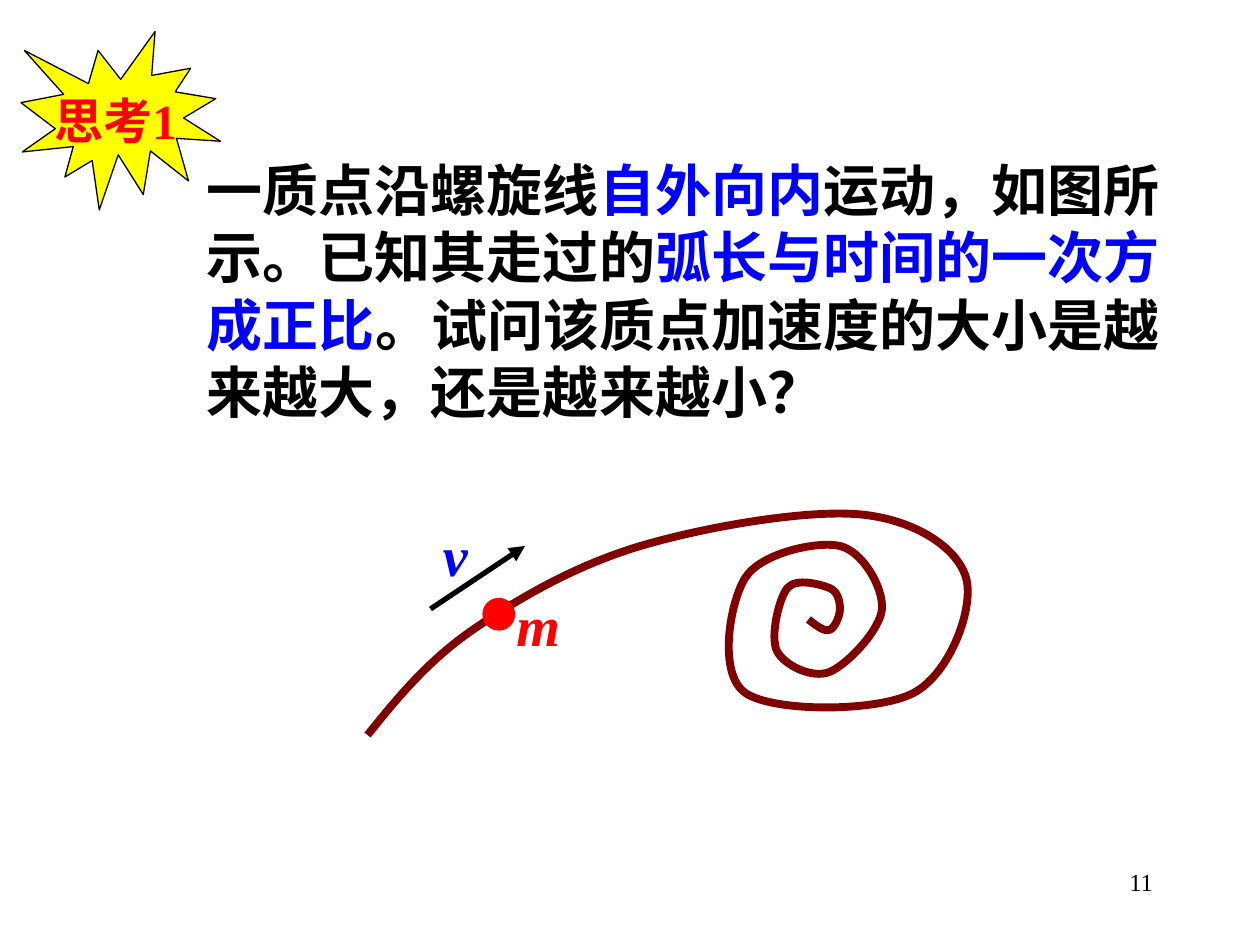
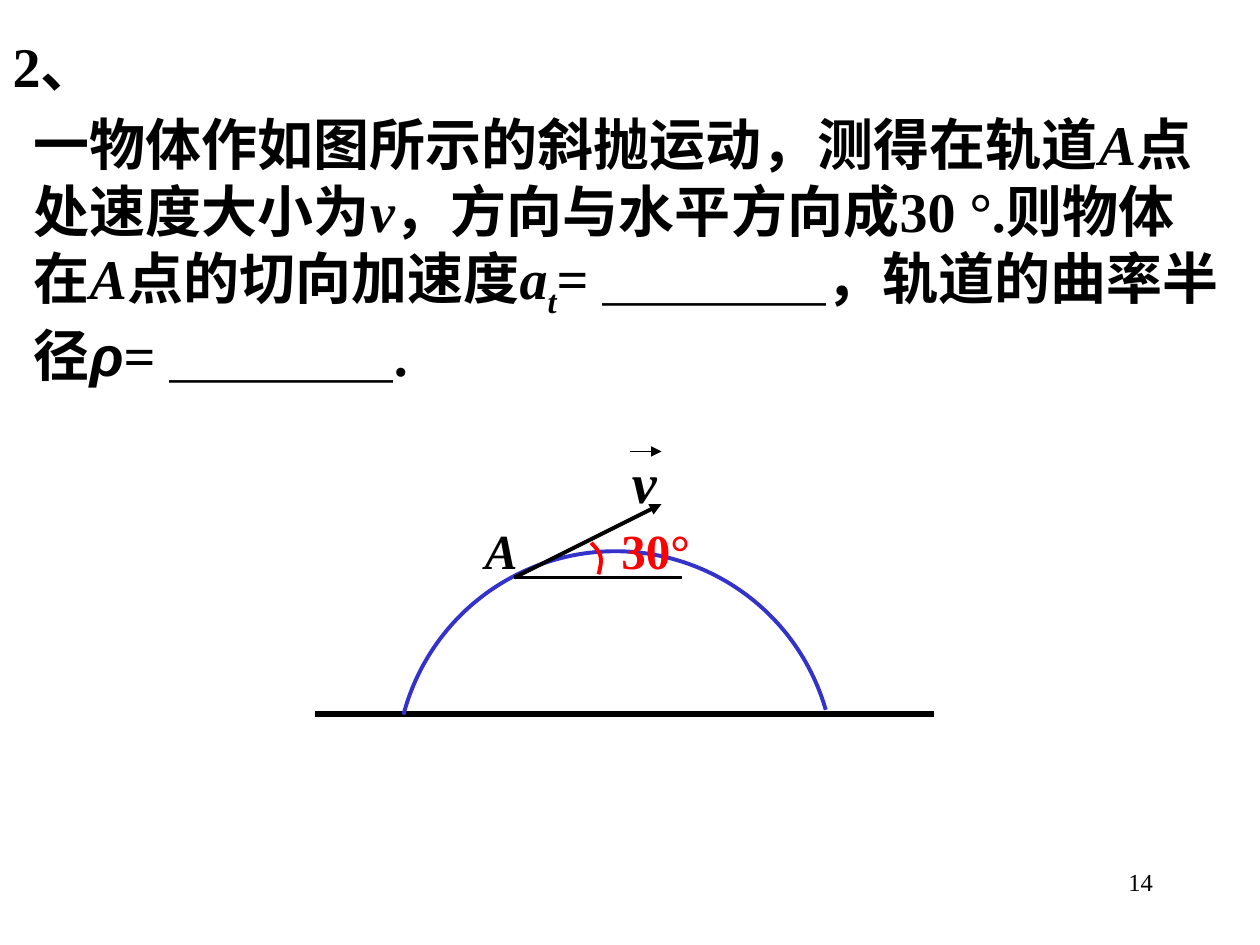
from itertools import pairwise

from lxml.etree import SubElement
from pptx import Presentation
from pptx.dml.color import RGBColor
from pptx.enum.shapes import MSO_CONNECTOR, MSO_SHAPE
from pptx.enum.text import MSO_ANCHOR, MSO_AUTO_SIZE, PP_ALIGN
from pptx.oxml.ns import qn
from pptx.util import Inches, Pt

# Shared look
FONT = "Times New Roman"
BLACK, RED, BLUE = "000000", "FF0000", "0000FF"
YELLOW, MAROON, INDIGO = "FFFF00", "800000", "3333CC"
LARGE, MEDIUM, SMALL = 32, 28, 14
ITALIC = {"italic": True}
SUBSCRIPT = {"italic": True, "baseline": "-25000"}

# The slide is a grid of 120 columns by 90 rows
COLUMNS, ROWS = 120, 90
WIDTH, HEIGHT = Inches(10), Inches(7.5)


def rgb(color):
    return RGBColor.from_string(color)


def grid(column, row):
    return round(column * WIDTH / COLUMNS), round(row * HEIGHT / ROWS)


def place(shape, column, row, columns, rows):
    shape.left, shape.top = grid(column, row)
    shape.width, shape.height = grid(columns, rows)


def style_line(shape, color, width):
    shape.line.color.rgb = rgb(color)
    shape.line.width = Pt(width)


# Text
def write(shape, runs, size, color=BLACK, bold=True, italic=None, align=PP_ALIGN.LEFT):
    """Write one paragraph; runs is a text or a list of (text, differences)."""
    frame = shape.text_frame
    frame.word_wrap = True
    frame.auto_size = MSO_AUTO_SIZE.NONE
    frame.vertical_anchor = MSO_ANCHOR.TOP
    paragraph = frame.paragraphs[0]
    paragraph.alignment = align
    paragraph.space_before = Pt(0)
    if shape.is_placeholder:
        properties = paragraph._p.get_or_add_pPr()
        properties.set("marL", "0")
        properties.set("indent", "0")
        SubElement(properties, qn("a:buNone"))
    font = paragraph.font
    font.name, font.size, font.bold, font.italic = FONT, Pt(size), bold, italic
    font.color.rgb = rgb(color)
    for text, changes in [(runs, {})] if isinstance(runs, str) else runs:
        run = paragraph.add_run()
        run.text = text
        if "color" in changes:
            run.font.color.rgb = rgb(changes["color"])
        if "italic" in changes:
            run.font.italic = True
        if "name" in changes:
            run.font.name = changes["name"]
        if "baseline" in changes:
            run._r.get_or_add_rPr().set("baseline", changes["baseline"])


def add_label(slide, box, text, size, **style):
    label = slide.shapes.add_textbox(0, 0, 0, 0)
    place(label, *box)
    write(label, text, size, **style)


def add_question_slide(presentation, number, title, title_box, title_style, question, box):
    slide = presentation.slides.add_slide(presentation.slide_layouts[1])
    heading, body = slide.shapes.title, slide.placeholders[1]
    place(heading, *title_box)
    write(heading, title, **title_style)
    place(body, *box)
    write(body, question, LARGE)
    add_label(slide, (86, 82, 25, 6), number, SMALL, bold=False, align=PP_ALIGN.RIGHT)
    return slide


# Drawing
def add_shape(slide, kind, box, fill, line, width=0.75):
    shape = slide.shapes.add_shape(kind, 0, 0, 0, 0)
    place(shape, *box)
    shape.shadow.inherit = False
    if fill:
        shape.fill.solid()
        shape.fill.fore_color.rgb = rgb(fill)
    else:
        shape.fill.background()
    style_line(shape, line, width)
    return shape


def add_line(slide, start, end, width, arrow=False):
    line = slide.shapes.add_connector(MSO_CONNECTOR.STRAIGHT, *grid(*start), *grid(*end))
    style_line(line, BLACK, width)
    if arrow:
        SubElement(line.line._get_or_add_ln(), qn("a:tailEnd"), type="triangle")
    SubElement(line._element.spPr, qn("a:effectLst"))


def bezier_points(knots):
    """Two control points and an end point for each part of a smooth curve."""
    def middle(a, b):
        return tuple((u + v) / 2 for u, v in zip(a, b))

    tangents = [tuple((v - u) / 6 for u, v in zip(before, after))
                for before, after in zip(knots, knots[2:])]
    tangents = [None, *tangents, None]
    points = []
    for (start, end), (leave, arrive) in zip(pairwise(knots), pairwise(tangents)):
        first = leave and tuple(u + v for u, v in zip(start, leave))
        second = arrive and tuple(u - v for u, v in zip(end, arrive))
        points += [first or middle(start, second), second or middle(end, first), end]
    return points


def add_curve(slide, knots, color, width):
    builder = slide.shapes.build_freeform(*grid(*knots[0]))
    builder.add_line_segments([grid(*point) for point in bezier_points(knots)], close=False)
    curve = builder.convert_to_shape()
    # Turn every three straight segments into one Bezier segment
    outline = next(curve._element.iter(qn("a:path")))
    segments = outline.findall(qn("a:lnTo"))
    for index in range(0, len(segments), 3):
        bezier = SubElement(outline, qn("a:cubicBezTo"))
        for segment in segments[index:index + 3]:
            bezier.append(segment[0])
            outline.remove(segment)
    curve.shadow.inherit = False
    curve.fill.background()
    style_line(curve, color, width)


def add_arc(slide, center, radius, start, end, color, width):
    column, row = center
    box = (column - radius, row - radius, 2 * radius, 2 * radius)
    arc = add_shape(slide, MSO_SHAPE.ARC, box, None, color, width)
    for index, degrees in enumerate((start, end)):
        arc.adjustments[index] = degrees * 0.6  # 60000 units a degree, scaled by 100000


# Slides
def add_spiral_slide(presentation):
    blue = {"color": BLUE}
    question = [
        ("一质点沿螺旋线", {}), ("自外向内", blue),
        ("运动，如图所示。已知其走过的", {}), ("弧长与时间的一次方成正比", blue),
        ("。试问该质点加速度的大小是越来越大，还是越来越小？", {}),
    ]
    slide = add_question_slide(
        presentation, "11", "思考1", (4, 8, 19, 6.8), {"size": MEDIUM, "color": RED},
        question, (18.5, 14.22, 98.2, 26.9))
    seal = add_shape(slide, MSO_SHAPE.EXPLOSION1, (2, 3, 19, 17), YELLOW, BLACK)
    slide.shapes.title._element.addprevious(seal._element)

    spiral = [(35, 70), (45, 60), (61, 52), (82, 49), (92, 55), (87, 66), (71, 66),
              (71, 55), (80, 52), (84, 58), (79, 64), (74, 62), (75, 56), (79, 56),
              (80, 58), (79, 60), (77, 59)]
    add_curve(slide, spiral, MAROON, 4.5)
    add_shape(slide, MSO_SHAPE.OVAL, (46, 57, 3, 3), RED, RED)
    add_label(slide, (48, 55.65, 10, 7.7), "m", LARGE, color=RED, italic=True)
    add_line(slide, (41, 58), (50, 52), 3, arrow=True)
    add_label(slide, (41, 49, 9, 7.7), "v", LARGE, color=BLUE, italic=True)


def add_projectile_slide(presentation):
    question = [
        ("一物体作如图所示的斜抛运动，测得在轨道", {}), ("A", ITALIC),
        ("点处速度大小为", {}), ("v", ITALIC),
        ("，方向与水平方向成30 °.则物体在", {}), ("A", ITALIC),
        ("点的切向加速度", {}), ("a", ITALIC), ("t", SUBSCRIPT),
        ("= ＿＿＿＿，轨道的曲率半径", {}), ("ρ", {"italic": True, "name": "Arial"}),
        ("= ＿＿＿＿.", {}),
    ]
    slide = add_question_slide(
        presentation, "14", "2、", (0, 2.4, 59, 7.7), {"size": LARGE},
        question, (2, 9.8, 116, 27.7))

    # Ground, trajectory and velocity at A
    point_a = (49, 55)
    add_line(slide, (30, 68), (89, 68), 3)
    add_arc(slide, (58.6, 73.35), 20.85, 194.7, 344, INDIGO, 2.25)
    add_line(slide, point_a, (63, 48), 2.25, arrow=True)
    add_line(slide, point_a, (65, 55), 2.25)
    add_label(slide, (59, 42, 8, 7.7), "v", LARGE, italic=True)
    add_line(slide, (60, 43), (63, 43), 0.75, arrow=True)

    # Angle and point labels
    add_curve(slide, [(56.3, 51.7), (57.2, 53), (57, 54.7)], RED, 2.25)
    add_label(slide, (58, 49, 15, 6.8), "30°", MEDIUM, color=RED)
    add_label(slide, (45, 49, 7, 6.8), "A", MEDIUM, italic=True)


def main():
    presentation = Presentation()
    presentation.slide_width, presentation.slide_height = WIDTH, HEIGHT
    add_spiral_slide(presentation)
    add_projectile_slide(presentation)
    presentation.save("out.pptx")


if __name__ == "__main__":
    main()
